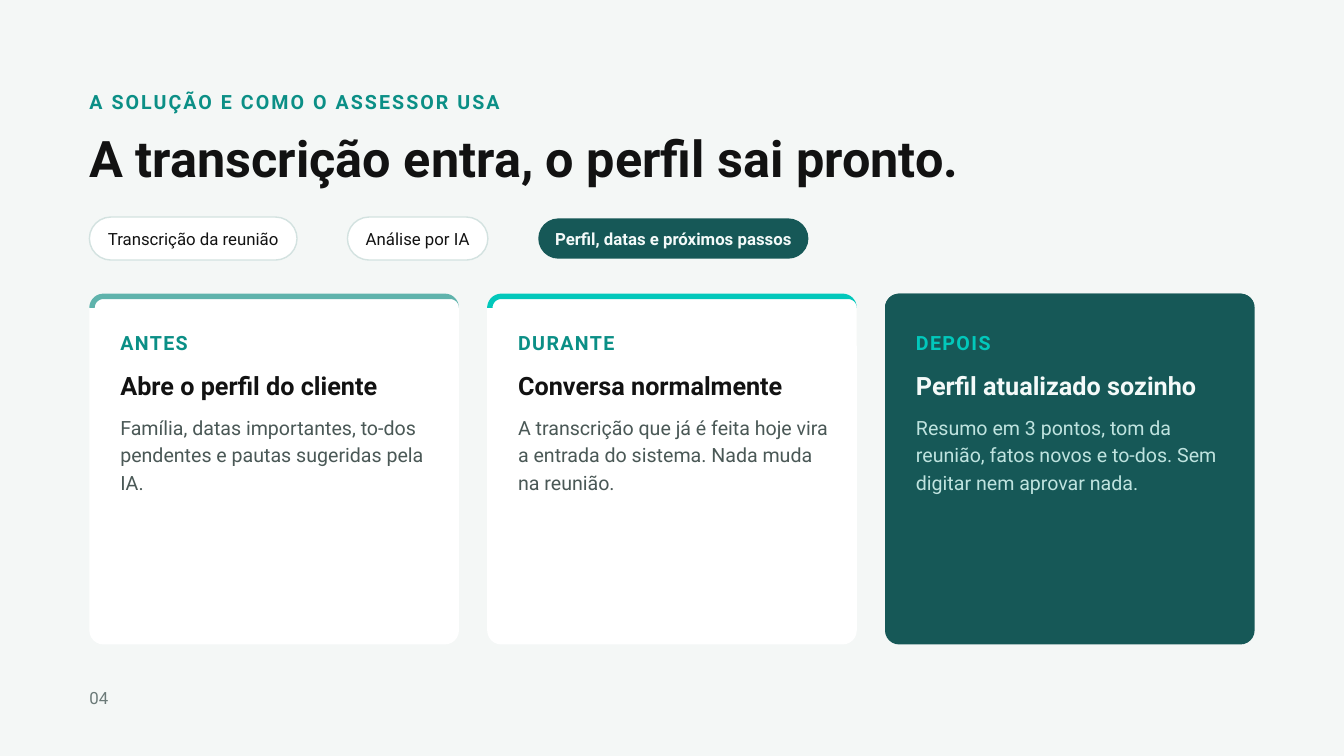
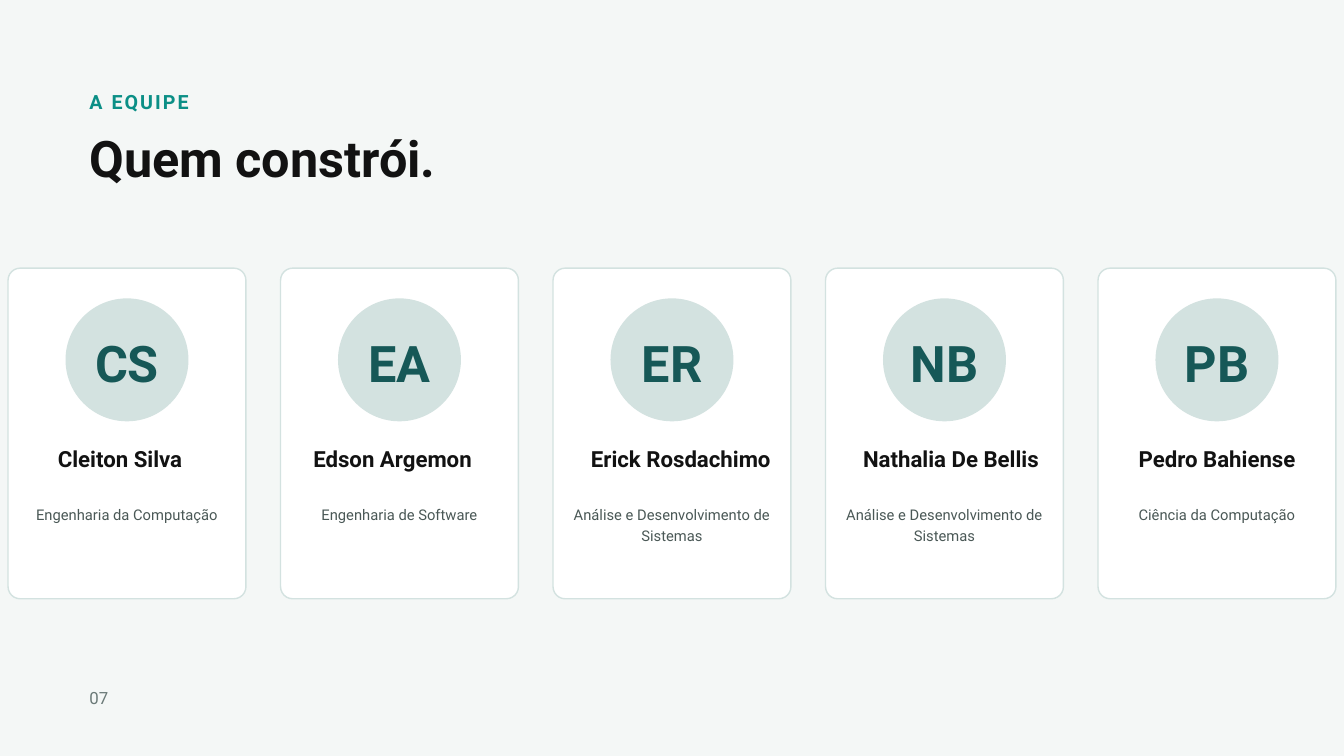
from math import cos, pi, sin

from pptx import Presentation
from pptx.dml.color import RGBColor
from pptx.enum.shapes import MSO_SHAPE
from pptx.enum.text import MSO_ANCHOR, PP_ALIGN
from pptx.util import Inches, Pt

FONT = "Roboto"
COLORS = {
    "background": "F4F7F6", "white": "FFFFFF", "ink": "121212", "teal": "0B8F86",
    "dark": "165857", "aqua": "02C8BB", "sage": "5FB3AC", "mist": "D3E2E0",
    "light": "F4FAF9", "pale": "BFE3DF", "body": "4A5856", "muted": "6B7A78",
}

SOLUTION = {"eyebrow": "A SOLUÇÃO E COMO O ASSESSOR USA",
            "title": "A transcrição entra, o perfil sai pronto.", "number": "04"}
# label, width, highlighted
STEPS = [
    ("Transcrição da reunião", 3.09, False),
    ("Análise por IA", 2.09, False),
    ("Perfil, datas e próximos passos", 4.02, True),
]
LIGHT_CARD = {"fill": "white", "moment": "teal", "heading": "ink", "text": "body"}
DARK_CARD = {"fill": "dark", "moment": "aqua", "heading": "light", "text": "pale"}
MOMENTS = [
    ("ANTES", "Abre o perfil do cliente",
     "Família, datas importantes, to-dos pendentes e pautas sugeridas pela IA.",
     "sage", LIGHT_CARD),
    ("DURANTE", "Conversa normalmente",
     "A transcrição que já é feita hoje vira a entrada do sistema. Nada muda na reunião.",
     "aqua", LIGHT_CARD),
    ("DEPOIS", "Perfil atualizado sozinho",
     "Resumo em 3 pontos, tom da reunião, fatos novos e to-dos. Sem digitar nem aprovar nada.",
     "dark", DARK_CARD),
]

TEAM = {"eyebrow": "A EQUIPE", "title": "Quem constrói.", "number": "07"}
# initials, name, field of study, indent and width of the name line
MEMBERS = [
    ("CS", "Cleiton Silva", "Engenharia da Computação", 0.46, 2.41),
    ("EA", "Edson Argemon", "Engenharia de Software", 0.46, 2.41),
    ("ER", "Erick Rosdachimo", "Análise e Desenvolvimento de Sistemas", 0.46, 2.88),
    ("NB", "Nathalia De Bellis", "Análise e Desenvolvimento de Sistemas", 0.46, 2.81),
    ("PB", "Pedro Bahiense", "Ciência da Computação", 0.06, 3.42),
]

SLIDE_W, SLIDE_H = 20, 11.25
MARGIN = 1.33


def rgb(color):
    return RGBColor.from_string(COLORS[color])


def write(frame, text, size, leading, color, bold=False, align=PP_ALIGN.LEFT, spacing=0):
    paragraph = frame.paragraphs[0]
    paragraph.text = text
    paragraph.alignment = align
    paragraph.line_spacing = Pt(leading)
    font = paragraph.font
    font.name, font.size, font.bold = FONT, Pt(size), bold
    font.color.rgb = rgb(color)
    if spacing:
        paragraph.runs[0]._r.get_or_add_rPr().set("spc", str(round(spacing * 100)))


def set_insets(frame, inset, bottom=None):
    frame.margin_left = frame.margin_right = frame.margin_top = Inches(inset)
    frame.margin_bottom = Inches(inset if bottom is None else bottom)


def add_text(slide, box, text, size, leading, color, **style):
    frame = slide.shapes.add_textbox(*map(Inches, box)).text_frame
    frame.word_wrap = True
    set_insets(frame, 0)
    write(frame, text, size, leading, color, **style)


def paint(shape, fill, line=None):
    shape.shadow.inherit = False
    shape.fill.solid()
    shape.fill.fore_color.rgb = rgb(fill)
    if line:
        shape.line.color.rgb = rgb(line)
        shape.line.width = Pt(1.5)
    else:
        shape.line.fill.background()


def add_panel(slide, box, fill, line=None, radius=None, kind=MSO_SHAPE.ROUNDED_RECTANGLE):
    panel = slide.shapes.add_shape(kind, *map(Inches, box))
    if radius:
        panel.adjustments[0] = radius / min(box[2:])
    paint(panel, fill, line)
    return panel


def label(panel, text, size, leading, color, bold, lift):
    """Centre text in a panel, raised by half of lift."""
    frame = panel.text_frame
    frame.word_wrap = False
    frame.vertical_anchor = MSO_ANCHOR.MIDDLE
    set_insets(frame, 0.06, 0.06 + lift)
    write(frame, text, size, leading, color, bold, PP_ALIGN.CENTER)


def arc(x, y, radius, start, end, steps=12):
    """Points on a circle between two angles in degrees, clockwise from the right."""
    angles = [(start + (end - start) * i / steps) * pi / 180 for i in range(steps + 1)]
    return [(x + radius * cos(a), y + radius * sin(a)) for a in angles]


def add_top_band(slide, left, top, width, radius, thickness, color):
    """Band that follows the rounded top corners of a card."""
    base, inner = top + radius, radius - thickness
    first, last = left + radius, left + width - radius
    outline = (arc(first, base, radius, 180, 270) + arc(last, base, radius, 270, 360)
               + arc(left + width - inner, base, inner, 360, 270)
               + arc(first, base, inner, 270, 180))
    points = [(Inches(x), Inches(y)) for x, y in outline]
    builder = slide.shapes.build_freeform(*points[0], scale=1.0)
    builder.add_line_segments(points[1:], close=True)
    paint(builder.convert_to_shape(), color)


def add_page(prs, page):
    slide = prs.slides.add_slide(prs.slide_layouts[5])
    add_text(slide, (MARGIN, 1.28, 17.33, 0.5), page["eyebrow"], 21, 29.4, "teal",
             bold=True, spacing=2.2)
    title = slide.shapes.title
    title.left, title.top, title.width, title.height = map(Inches, (MARGIN, 1.96, 13, 0.85))
    title.text_frame.vertical_anchor = MSO_ANCHOR.TOP
    set_insets(title.text_frame, 0)
    write(title.text_frame, page["title"], 54, 59.4, "ink", bold=True)
    add_text(slide, (MARGIN, 10.18, 4.29, 0.44), page["number"], 18, 25.2, "muted")
    return slide


def build_solution(prs):
    slide = add_page(prs, SOLUTION)

    left, middle, step_gap = MARGIN, 3.55, 0.75
    for text, width, highlighted in STEPS:
        height = 0.6 if highlighted else 0.64
        fill, line, color = (("dark", None, "light") if highlighted
                             else ("white", "mist", "ink"))
        pill = add_panel(slide, (left, middle - height / 2, width, height), fill, line,
                         radius=height / 2)
        label(pill, text, 18, 25.2, color, highlighted, lift=0.04)
        left += width + step_gap

    top, width, height, radius = 4.37, 5.5, 5.22, 0.21
    pitch = (SLIDE_W - 2 * MARGIN - width) / (len(MOMENTS) - 1)
    for i, (moment, heading, text, accent, look) in enumerate(MOMENTS):
        left = MARGIN + i * pitch
        add_panel(slide, (left, top, width, height), look["fill"], radius=radius)
        add_top_band(slide, left, top, width, radius, 0.08, accent)
        inner, text_width = left + 0.46, 4.72
        add_text(slide, (inner, 4.86, text_width, 0.5), moment, 21, 29.4, look["moment"],
                 bold=True, spacing=1.5)
        add_text(slide, (inner, 5.51, text_width, 0.5), heading, 27, 32.4,
                 look["heading"], bold=True)
        add_text(slide, (inner, 6.13, text_width, 1.32), text, 21, 29.4, look["text"])


def build_team(prs):
    slide = add_page(prs, TEAM)
    edge, top, width, height = 0.12, 3.99, 3.54, 4.92
    badge, role_width = 1.83, 3.01
    pitch = (SLIDE_W - 2 * edge - width) / (len(MEMBERS) - 1)
    for i, (initials, name, role, indent, name_width) in enumerate(MEMBERS):
        left = edge + i * pitch
        add_panel(slide, (left, top, width, height), "white", "mist", radius=0.18)
        circle = add_panel(slide, (left + (width - badge) / 2, top + 0.45, badge, badge),
                           "mist", kind=MSO_SHAPE.OVAL)
        label(circle, initials, 54, 75.6, "dark", True, lift=0.07)
        add_text(slide, (left + indent, 6.63, name_width, 0.4), name, 23.8, 28.5, "ink",
                 bold=True, align=PP_ALIGN.CENTER)
        add_text(slide, (left + (width - role_width) / 2, 7.48, role_width, 0.61), role,
                 15.8, 22.2, "body", align=PP_ALIGN.CENTER)


def main():
    prs = Presentation()
    prs.slide_width, prs.slide_height = Inches(SLIDE_W), Inches(SLIDE_H)
    backdrop = prs.slide_master.background.fill
    backdrop.solid()
    backdrop.fore_color.rgb = rgb("background")
    build_solution(prs)
    build_team(prs)
    prs.save("out.pptx")


if __name__ == "__main__":
    main()
